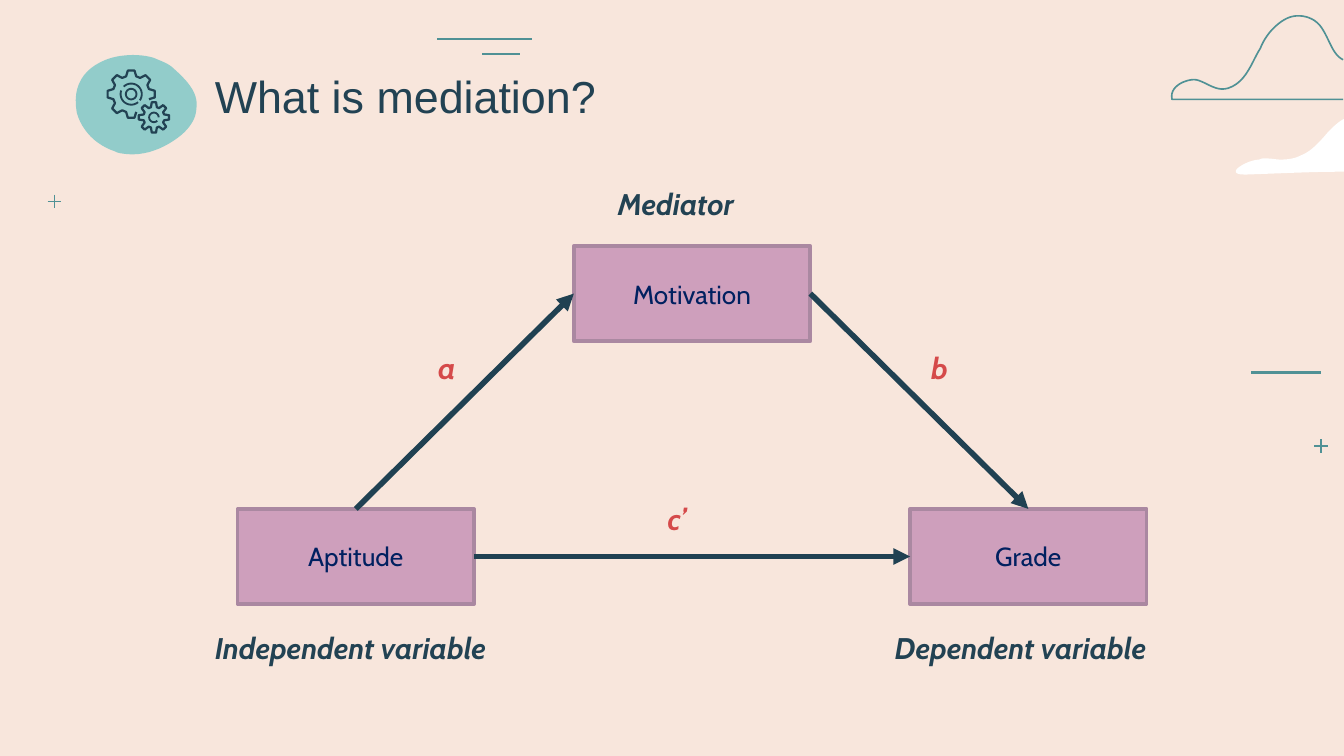
import math
import pptx
import pptx.util
import pptx.dml.color
import pptx.enum.shapes
import pptx.enum.text
from lxml import etree
from pptx.oxml.ns import qn

Cm = pptx.util.Cm
Pt = pptx.util.Pt
RGBColor = pptx.dml.color.RGBColor
MSO_SHAPE = pptx.enum.shapes.MSO_SHAPE
MSO_CONNECTOR = pptx.enum.shapes.MSO_CONNECTOR
MSO_ANCHOR = pptx.enum.text.MSO_ANCHOR
PP_ALIGN = pptx.enum.text.PP_ALIGN

CREAM = RGBColor(0xF8, 0xE6, 0xDC)
WHITE = RGBColor(0xFF, 0xFF, 0xFF)
TEAL = RGBColor(0x50, 0x91, 0x95)
MINT = RGBColor(0x92, 0xCC, 0xCA)
INK = RGBColor(0x22, 0x42, 0x53)
ARROW = RGBColor(0x20, 0x41, 0x52)
PINK = RGBColor(0xCE, 0x9F, 0xBC)
MAUVE = RGBColor(0xAA, 0x88, 0xA1)
NAVY = RGBColor(0x00, 0x20, 0x60)
RED = RGBColor(0xD5, 0x4A, 0x4A)

TOP, LEFT, RIGHT = 0, 1, 3

SMALL_CLOUD = [
    (95, 3), (91, 7), (84, 21), (79, 35), (74, 47), (69, 60), (61, 67),
    (57, 72), (51, 74), (46, 74), (42, 74), (39, 72), (34, 72),
    (31, 72), (31, 72), (29, 74), (20, 74), (0, 100), (18, 100),
    (45, 98), (70, 95), (95, 95)]
LARGE_CLOUD = [
    (65, 54), (61, 48), (60, 31), (57, 17), (54, 3), (48, 0), (44, 6),
    (40, 12), (36, 25), (34, 41), (31, 55), (29, 80), (22, 87),
    (17, 92), (13, 77), (9, 77), (5, 78), (0, 86), (1, 100),
    (22, 100), (44, 100), (65, 100)]
BLOB = [
    (40, 99), (52, 101), (67, 97), (77, 89), (92, 77), (99, 59), (92, 33),
    (86, 16), (73, 4), (58, 1), (56, 0), (54, 0), (52, 0),
    (35, 0), (20, 12), (9, 28), (4, 36), (0, 45), (1, 56),
    (1, 73), (14, 84), (25, 93), (29, 96), (34, 97), (40, 99)]


def add_outline(s, points, fill=None, line=None, width=1, close=False):
    points = [(Cm(x), Cm(y)) for x, y in points]
    builder = s.shapes.build_freeform(*points[0])
    builder.add_line_segments(points[1:], close=close)
    sp = builder.convert_to_shape()
    sp.shadow.inherit = False
    if fill is None:
        sp.fill.background()
    else:
        sp.fill.solid()
        sp.fill.fore_color.rgb = fill
    if line is None:
        sp.line.fill.background()
    else:
        sp.line.color.rgb = line
        sp.line.width = Pt(width)
    return sp


def curve_points(box, controls, steps=12):
    left, top, width, height = box
    knots = [(left + width * x / 100, top + height * y / 100) for x, y in controls]
    points = knots[:1]
    for i in range(0, len(knots) - 1, 3):
        for step in range(1, steps + 1):
            t = step / steps
            weights = ((1 - t) ** 3, 3 * t * (1 - t) ** 2, 3 * t * t * (1 - t), t ** 3)
            points.append(tuple(sum(w * k[axis] for w, k in zip(weights, knots[i:i + 4]))
                                for axis in (0, 1)))
    return points


def polar(center, radius, degrees):
    a = math.radians(degrees)
    return center[0] + radius * math.cos(a), center[1] + radius * math.sin(a)


def add_arc(s, center, radius, start, end):
    add_outline(s, [polar(center, radius, a) for a in range(start, end + 1, 5)], line=INK)


def add_gear(s, center, outer, root, teeth, close):
    profile = ((root, -16), (outer, -8), (outer, 8), (root, 16))
    points = [polar(center, radius, 45 * tooth + turn)
              for tooth in teeth for radius, turn in profile]
    add_outline(s, points, line=INK, width=1.2, close=close)


def add_line(s, x1, y1, x2, y2, color, width):
    cxn = s.shapes.add_connector(MSO_CONNECTOR.STRAIGHT, Cm(x1), Cm(y1), Cm(x2), Cm(y2))
    cxn.line.color.rgb = color
    cxn.line.width = Pt(width)
    etree.SubElement(cxn._element.spPr, qn("a:effectLst"))
    return cxn


def add_plus(s, x, y, arm=0.13):
    add_line(s, x - arm, y, x + arm, y, TEAL, 0.88)
    add_line(s, x, y - arm, x, y + arm, TEAL, 0.88)


def add_text(s, box, text, size, font, color, anchor):
    tf = s.shapes.add_textbox(*map(Cm, box)).text_frame
    tf.word_wrap = True
    tf.vertical_anchor = anchor
    tf.margin_left = tf.margin_right = tf.margin_top = tf.margin_bottom = Cm(0.25)
    p = tf.paragraphs[0]
    p.text = text
    p.line_spacing = 0.8
    p.font.size = Pt(size)
    p.font.name = font
    p.font.color.rgb = color
    return p


def add_label(s, box, text, color):
    p = add_text(s, box, text, 16, "Cabin", color, MSO_ANCHOR.BOTTOM)
    p.font.bold = p.font.italic = True


def add_variable(s, box, text):
    sp = s.shapes.add_shape(MSO_SHAPE.RECTANGLE, *map(Cm, box))
    sp.shadow.inherit = False
    sp.fill.solid()
    sp.fill.fore_color.rgb = PINK
    sp.line.color.rgb = MAUVE
    sp.line.width = Pt(2)
    sp.text_frame.vertical_anchor = MSO_ANCHOR.MIDDLE
    p = sp.text_frame.paragraphs[0]
    p.text = text
    p.alignment = PP_ALIGN.CENTER
    p.font.size = Pt(14)
    p.font.name = "Cabin"
    p.font.color.rgb = NAVY
    return sp


def add_arrow(s, start, start_site, end, end_site):
    cxn = add_line(s, 0, 0, 1, 1, ARROW, 3)
    cxn.begin_connect(start, start_site)
    cxn.end_connect(end, end_site)
    etree.SubElement(cxn.line._get_or_add_ln(), qn("a:tailEnd"), type="triangle")


def draw_decorations(s, box):
    left, top, width, height = box
    right = left + width
    add_outline(s, curve_points((right - 2.31, top + 2.21, 2.44, 1.09), SMALL_CLOUD),
                fill=WHITE, close=True)
    add_outline(s, curve_points((right - 3.3, top + 0.25, 5.05, 1.63), LARGE_CLOUD),
                line=TEAL, width=0.88)
    for x, y, length in ((8.26, 0.74, 1.79), (9.11, 1.02, 0.71), (23.65, 7.04, 1.32)):
        add_line(s, left + x, top + y, left + x + length, top + y, TEAL, 1.32)
    add_plus(s, right - 0.43, top + 8.43)
    add_plus(s, left + 1.03, top + 3.81)


def draw_header(s, box):
    left, top, width, height = box
    blob = add_outline(s, curve_points((left, top, 2.44, 1.9), BLOB), fill=MINT, close=True)
    blob.rotation = 189.1
    large, small = (left + 1.08, top + 0.74), (left + 1.51, top + 1.18)
    add_gear(s, large, 0.45, 0.35, range(2, 9), False)
    add_gear(s, small, 0.29, 0.2, range(8), True)
    for center, radius, start, end in ((large, 0.1, 0, 360), (large, 0.2, 50, 200),
                                       (large, 0.2, 225, 395), (small, 0.09, 45, 360)):
        add_arc(s, center, radius, start, end)
    add_text(s, (left + 2.41, top + 0.2, width - 2.41, 1.35), "What is mediation?",
             24, "Arial", INK, MSO_ANCHOR.TOP)


def draw_mediation(s, box):
    left, top, width, height = box
    w, h = 4.47, 1.8
    base = top + height - h
    aptitude = add_variable(s, (left, base, w, h), "Aptitude")
    grade = add_variable(s, (left + width - w, base, w, h), "Grade")
    motivation = add_variable(s, (left + (width - w) / 2, top, w, h), "Motivation")
    add_arrow(s, aptitude, RIGHT, grade, LEFT)
    add_arrow(s, aptitude, TOP, motivation, LEFT)
    add_arrow(s, motivation, RIGHT, grade, TOP)
    for x, y, label_width, text, color in (
            (-0.68, 7.08, 6.68, "Independent variable", INK),
            (12.17, 7.08, 5.66, "Dependent variable", INK),
            (6.94, -1.3, 3.3, "Mediator", INK),
            (7.88, 4.65, 1.07, "c’", RED),
            (3.54, 1.8, 1.07, "a", RED),
            (12.86, 1.8, 1.07, "b", RED)):
        add_label(s, (left + x, top + y, label_width, 1.09), text, color)


def main():
    prs = pptx.Presentation()
    prs.slide_width, prs.slide_height = Cm(25.4), Cm(14.29)
    s = prs.slides.add_slide(prs.slide_layouts[6])
    s.background.fill.solid()
    s.background.fill.fore_color.rgb = CREAM
    draw_decorations(s, (0, 0, 25.4, 14.29))
    draw_header(s, (1.4, 1.04, 23.29, 1.9))
    draw_mediation(s, (4.49, 4.65, 17.18, 6.77))
    prs.save("out.pptx")


if __name__ == "__main__":
    main()
